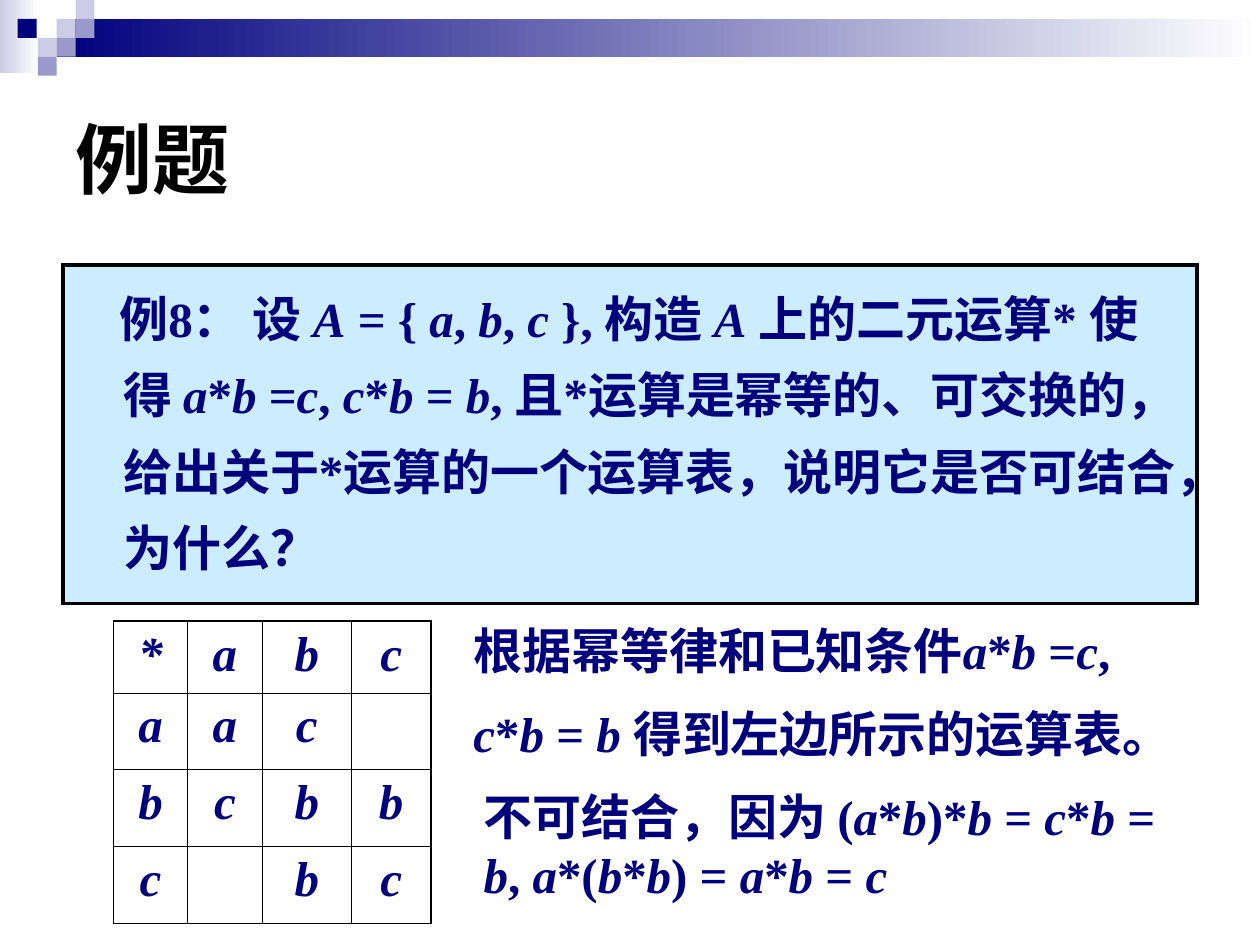
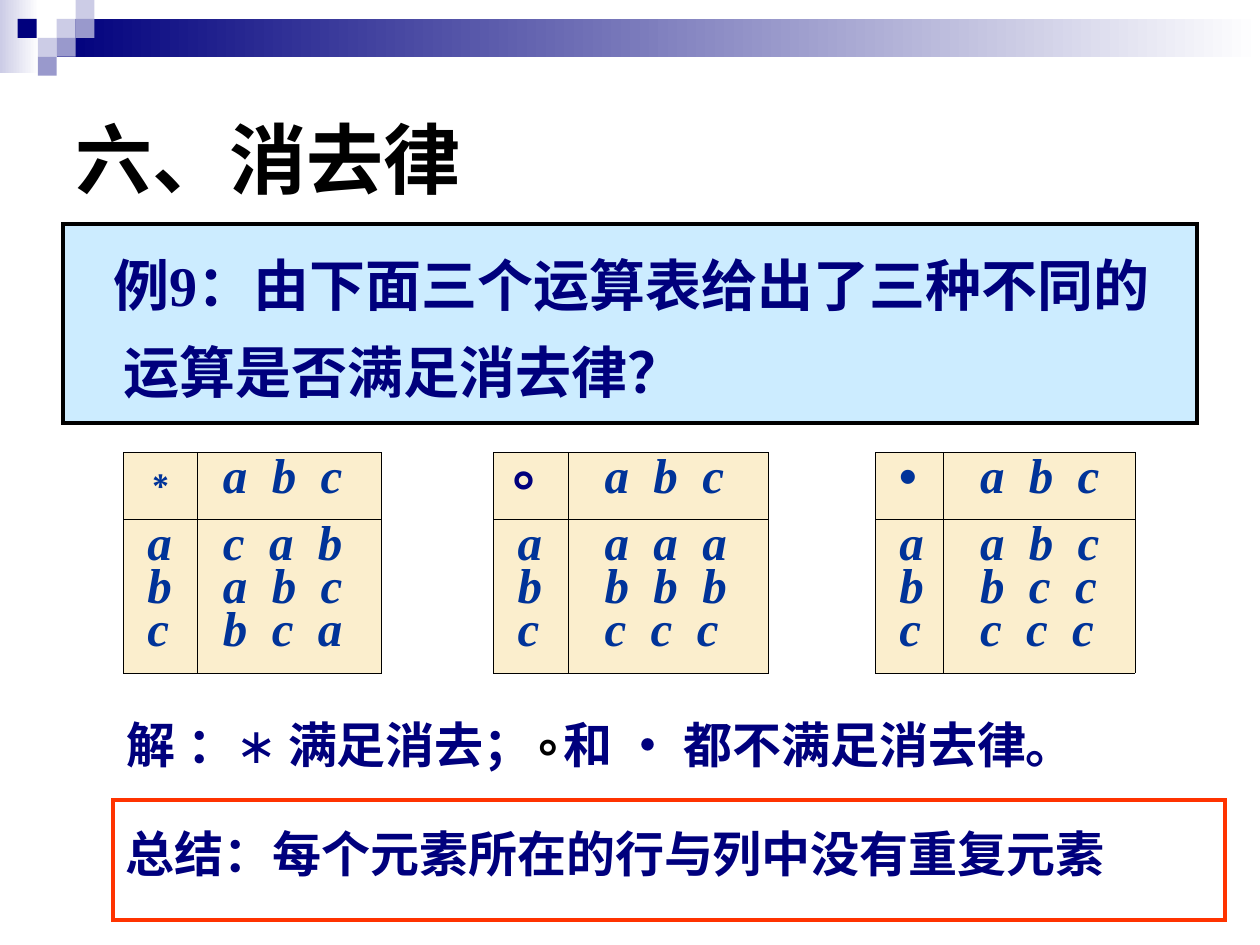
from dataclasses import dataclass, replace
from itertools import groupby

from lxml import etree
from pptx import Presentation
from pptx.dml.color import RGBColor
from pptx.enum.shapes import MSO_SHAPE
from pptx.enum.text import MSO_ANCHOR, PP_ALIGN
from pptx.oxml.ns import qn
from pptx.util import Inches, Pt

RECT = MSO_SHAPE.RECTANGLE
MIDDLE = MSO_ANCHOR.MIDDLE
TOP = MSO_ANCHOR.TOP
LEFT = PP_ALIGN.LEFT
CENTER = PP_ALIGN.CENTER

BLACK = RGBColor(0x00, 0x00, 0x00)
WHITE = RGBColor(0xFF, 0xFF, 0xFF)
NAVY = RGBColor(0x00, 0x00, 0x7D)
BLUE = RGBColor(0x00, 0x33, 0x99)
LILAC = RGBColor(0xCC, 0xCC, 0xE6)
MAUVE = RGBColor(0x99, 0x99, 0xCC)
SKY = RGBColor(0xCC, 0xEC, 0xFF)
CREAM = RGBColor(0xFB, 0xEE, 0xCD)
RED = RGBColor(0xFF, 0x33, 0x00)

SANS = "Arial"
SERIF = "Times New Roman"
SIGNS = "∗∘•"
THIN, THICK = 0.45, 1.08


@dataclass(frozen=True)
class Box:
    left: float
    top: float
    width: float
    height: float

    def emu(self) -> tuple:
        return tuple(map(Inches, (self.left, self.top, self.width, self.height)))


@dataclass(frozen=True)
class Style:
    size: int = 28
    font: str = SERIF
    color: RGBColor = NAVY
    bold: bool = True
    italic: bool = False
    align: PP_ALIGN = LEFT
    lines: float = 1.0
    hang: float = 0.0    # left indent, inches
    first: float = 0.0   # first line relative to the indent
    track: float = 0.0   # letter spacing, points


TITLE = Style(44, SANS, BLACK)
BODY = Style(lines=1.3, hang=0.38, first=-0.03)
LEAD = replace(BODY, size=32, first=-0.08)
NOTE = replace(BODY, first=-0.38)
GRID = Style(italic=True, align=CENTER)
ROWS = Style(color=BLUE, italic=True, lines=0.8, track=3.5)
SIGN = Style(font=SANS, color=BLUE, lines=0.8)

# Pixel squares of the corner: left, top, colour
SQUARES = [
    (0.45, 0.15, LILAC), (0.6, 0, LILAC), (0.6, 0.15, MAUVE),
    (0.3, 0.3, LILAC), (0.14, 0.15, NAVY), (0.45, 0.3, MAUVE),
    (0.3, 0.45, MAUVE),
]


def kind(char: str) -> str:
    if char in SIGNS:
        return "sign"
    return "letter" if char.isascii() and char.isalpha() else "plain"


def write(para, text: str, style: Style) -> None:
    """Fill a paragraph; variables turn italic, operation signs sans."""
    props = para._p.get_or_add_pPr()
    props.set("marL", str(Inches(style.hang)))
    props.set("indent", str(Inches(style.first)))
    para.alignment = style.align
    para.line_spacing = style.lines
    font = para.font
    font.size, font.name = Pt(style.size), style.font
    font.bold, font.italic = style.bold, style.italic
    font.color.rgb = style.color
    if style.italic:
        run = para.add_run()
        run.text = text
        if style.track:
            run._r.get_or_add_rPr().set("spc", str(int(style.track * 100)))
        return
    for sort, chars in groupby(text, kind):
        run = para.add_run()
        run.text = "".join(chars)
        if sort == "letter":
            run.font.italic = True
        elif sort == "sign":
            run.font.name = SANS


def fill_text(frame, texts: list[str], style: Style) -> None:
    for num, text in enumerate(texts):
        write(frame.add_paragraph() if num else frame.paragraphs[0], text, style)


def add_text(slide, box: Box, texts: list[str], style: Style, anchor=TOP):
    frame = slide.shapes.add_textbox(*box.emu()).text_frame
    frame.word_wrap = True
    frame.vertical_anchor = anchor
    fill_text(frame, texts, style)
    return frame


def add_rect(slide, box: Box, color: RGBColor | None = None):
    shape = slide.shapes.add_shape(RECT, *box.emu())
    shape.shadow.inherit = False
    shape.line.fill.background()
    if color is None:
        shape.fill.background()
    else:
        shape.fill.solid()
        shape.fill.fore_color.rgb = color
    return shape


def add_fade(slide, box: Box, color: RGBColor) -> None:
    fill = add_rect(slide, box).fill
    fill.gradient()
    fill.gradient_angle = 0
    for stop, shade in zip(fill.gradient_stops, (color, WHITE)):
        stop.color.rgb = shade


def add_panel(slide, box: Box, text: str, style: Style,
              edge: RGBColor, color: RGBColor | None = None) -> None:
    shape = add_rect(slide, box, color)
    shape.line.color.rgb = edge
    shape.line.width = Pt(2.25)
    # Sharp corners
    line = shape._element.spPr.find(qn("a:ln"))
    etree.SubElement(line, qn("a:miter"), lim="800000")
    frame = shape.text_frame
    frame.word_wrap = True
    frame.vertical_anchor = TOP
    fill_text(frame, [text], style)


def add_page(deck, title: str):
    """Blank slide with the band, the corner squares and a title."""
    slide = deck.slides.add_slide(deck.slide_layouts[6])
    add_fade(slide, Box(0, 0, 0.31, 0.58), LILAC)
    add_fade(slide, Box(0.45, 0.15, 9.55, 0.3), NAVY)
    for left, top, color in SQUARES:
        add_rect(slide, Box(left, top, 0.15, 0.15), color)
    add_text(slide, Box(0.5, 0.5, 9, 1.5), [title], TITLE, MIDDLE)
    return slide


def add_table(slide, left: float, top: float, cols: list, rows: list):
    box = Box(left, top, sum(cols), sum(rows))
    table = slide.shapes.add_table(len(rows), len(cols), *box.emu()).table
    table.first_row = table.horz_banding = False
    for col, width in zip(table.columns, cols):
        col.width = Inches(width)
    for row, height in zip(table.rows, rows):
        row.height = Inches(height)
    for cell in table.iter_cells():
        cell.fill.background()
    return table


def set_edges(cell, left: float, right: float, top: float, bottom: float) -> None:
    """Border widths in points; 0 hides a side."""
    props = cell._tc.get_or_add_tcPr()
    for num, (side, width) in enumerate(zip("LRTB", (left, right, top, bottom))):
        line = etree.Element(qn(f"a:ln{side}"), w=str(Pt(width)))
        if width:
            paint = etree.SubElement(line, qn("a:solidFill"))
            etree.SubElement(paint, qn("a:srgbClr"), val=str(BLACK))
        else:
            etree.SubElement(line, qn("a:noFill"))
        props.insert(num, line)


def fill_cell(cell, texts: list[str], style: Style, inset: float) -> None:
    cell.margin_left = Inches(inset)
    cell.fill.solid()
    cell.fill.fore_color.rgb = CREAM
    fill_text(cell.text_frame, texts, style)


def build_example(deck) -> None:
    slide = add_page(deck, "例题")
    add_panel(slide, Box(0.5, 2.1, 9, 2.69),
              "例8： 设 A = { a, b, c }, 构造 A 上的二元运算* 使得 a*b =c, c*b = b, "
              "且*运算是幂等的、可交换的，给出关于*运算的一个运算表，"
              "说明它是否可结合，为什么？", BODY, BLACK, SKY)

    # Operation table; a dash marks an open entry
    grid = ["*abc", "aac-", "bcbb", "c-bc"]
    table = add_table(slide, 0.9, 4.93, [0.59, 0.59, 0.71, 0.63],
                      [0.57, 0.61, 0.61, 0.61])
    last = len(grid) - 1
    for row, line in enumerate(grid):
        for col, text in enumerate(line):
            cell = table.cell(row, col)
            outer = (col == 0, col == last, row == 0, row == last)
            set_edges(cell, *(THICK if edge else THIN for edge in outer))
            if text != "-":
                fill_text(cell.text_frame, [text], GRID)

    # Reasoning beside the table
    add_text(slide, Box(3.66, 4.69, 6.06, 1.41),
             ["根据幂等律和已知条件a*b =c,", "c*b = b 得到左边所示的运算表。"],
             Style(lines=1.4))
    add_text(slide, Box(3.74, 6.19, 5.55, 1.04),
             ["不可结合，因为 (a*b)*b = c*b = b, a*(b*b) = a*b = c"], Style())


def build_cancel(deck) -> None:
    slide = add_page(deck, "六、消去律")
    add_panel(slide, Box(0.5, 1.78, 9, 1.58),
              "例9：由下面三个运算表给出了三种不同的运算是否满足消去律？",
              LEAD, BLACK, SKY)

    # Three operations side by side: sign, its style and inset, value inset, values
    blocks = [
        ("∗", SIGN, 0.1, 0.2, ["cab", "abc", "bca"]),
        ("∘", replace(SIGN, size=32, color=NAVY), 0.1, 0.29, ["aaa", "bbb", "ccc"]),
        ("•", SIGN, 0.19, 0.29, ["abc", "bcc", "ccc"]),
    ]
    table = add_table(slide, 0.98, 3.59,
                      [0.59, 1.46, 0.89, 0.59, 1.59, 0.85, 0.54, 1.52], [0.53, 1.22])
    for num, (sign, style, shift, inset, values) in enumerate(blocks):
        col = 3 * num
        fill_cell(table.cell(0, col), [sign], style, shift)
        fill_cell(table.cell(0, col + 1), [" ".join("abc")], ROWS, inset)
        fill_cell(table.cell(1, col), list("abc"), ROWS, 0.19)
        fill_cell(table.cell(1, col + 1), [" ".join(row) for row in values],
                  ROWS, inset)
    for row in range(2):
        for col in range(8):
            rule = 0 if col % 3 == 2 else THIN
            set_edges(table.cell(row, col), THIN, THIN, rule, rule)
    for col in (2, 5):
        table.cell(0, col).merge(table.cell(1, col))

    # Answer and summary
    frame = add_text(slide, Box(0.91, 5.48, 7.8, 0.79),
                     ["解 ：∗ 满足消去；∘和 • 都不满足消去律。"], NOTE)
    for run in frame.paragraphs[0].runs:
        if run.text == "∗":
            run.font.bold = False
        elif run.text == "∘":
            run.font.color.rgb = BLACK
    add_panel(slide, Box(0.9, 6.35, 8.82, 0.95),
              "总结：每个元素所在的行与列中没有重复元素", NOTE, RED)


def main() -> None:
    deck = Presentation()
    deck.slide_width, deck.slide_height = Inches(10), Inches(7.5)
    build_example(deck)
    build_cancel(deck)
    deck.save("out.pptx")


if __name__ == "__main__":
    main()
